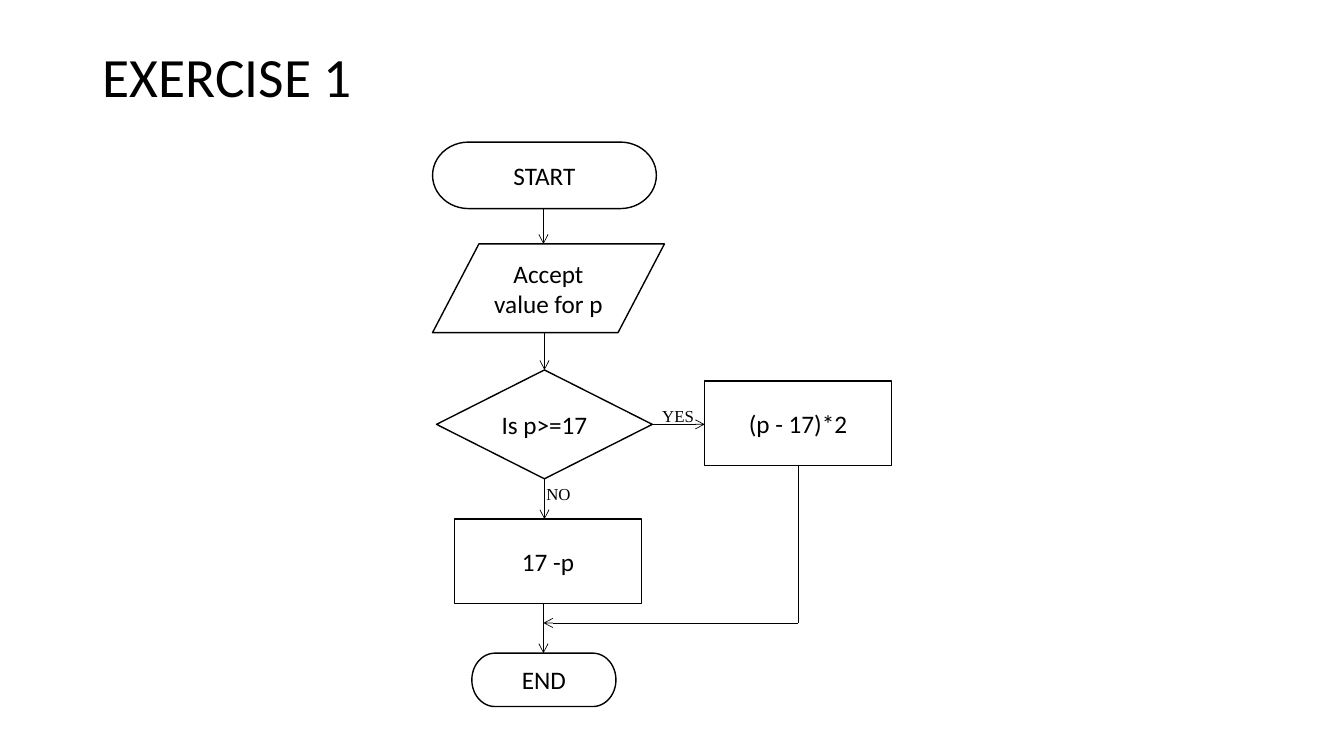
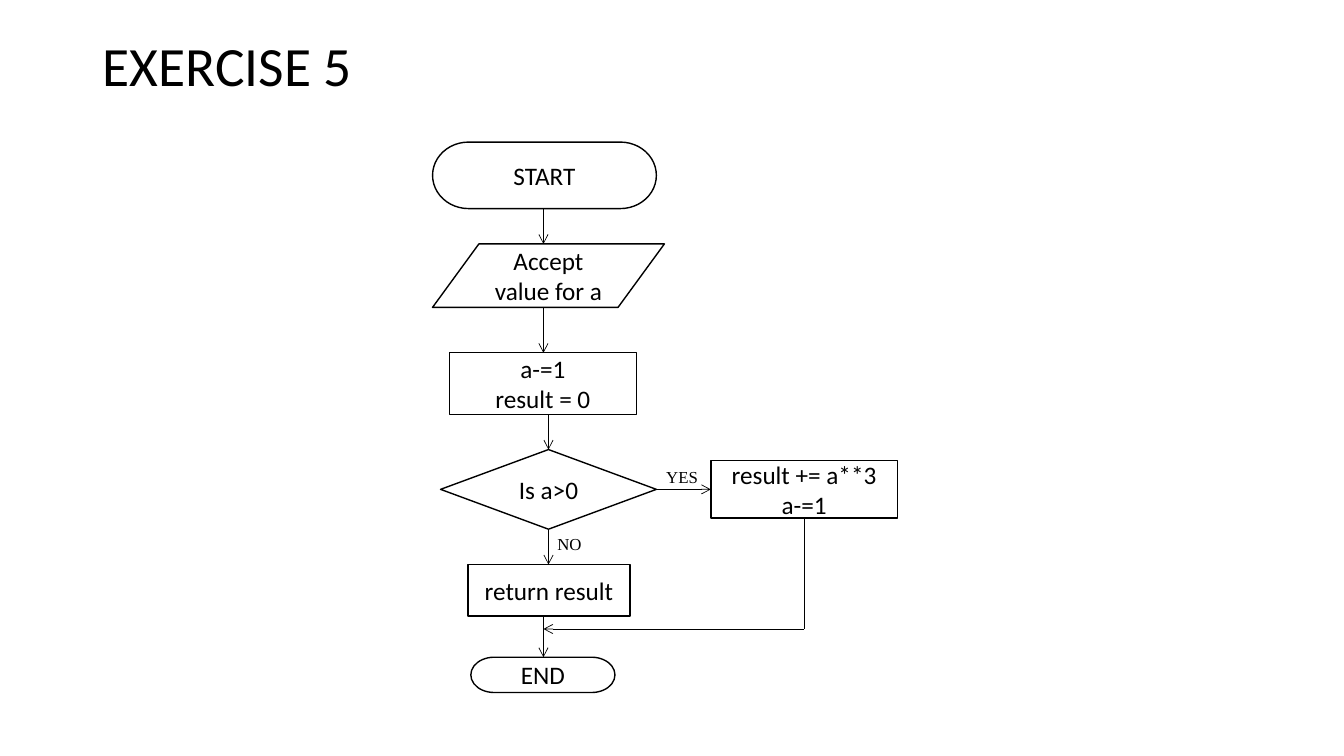
"""Build two flowchart exercise slides."""
from pptx import Presentation
from pptx.dml.color import RGBColor
from pptx.enum.shapes import MSO_CONNECTOR, MSO_SHAPE as SH
from pptx.enum.text import MSO_ANCHOR, MSO_AUTO_SIZE, PP_ALIGN
from pptx.oxml.ns import qn
from pptx.util import Inches, Pt
from lxml.etree import SubElement

COLORS = {"ink": "000000"}
FONT, LABEL_FONT = "Calibri", "Times New Roman"
SPINE = 5.39
TERM, DATA = SH.FLOWCHART_TERMINATOR, SH.FLOWCHART_DATA
DECISION, PROCESS = SH.FLOWCHART_DECISION, SH.FLOWCHART_PROCESS

CHARTS = [
    {"title": "EXERCISE 1", "title_box": (0.92, 0.42, 11.5, 0.73),
     "steps": [
         (TERM, (4.29, 1.41, 2.22, 0.66), "START"),
         (DATA, (4.29, 2.42, 2.3, 0.88), "Accept value for p"),
         (DECISION, (4.33, 3.67, 2.14, 1.08), "Is p>=17"),
         (PROCESS, (4.51, 5.15, 1.85, 0.84), "17 -p"),
         (TERM, (4.68, 6.48, 1.43, 0.53), "END")],
     "branch": (PROCESS, (6.99, 3.78, 1.85, 0.84), "(p - 17)*2"),
     "labels": [("NO", (5.32, 4.75, 0.7, 0.3)), ("YES", (6.47, 3.98, 0.54, 0.3))],
     "merge": 6.18},
    {"title": "EXERCISE 5", "title_box": (0.92, 0.4, 11.5, 0.56),
     "steps": [
         (TERM, (4.29, 1.41, 2.22, 0.66), "START"),
         (DATA, (4.29, 2.42, 2.3, 0.63), "Accept value for a"),
         (PROCESS, (4.46, 3.5, 1.85, 0.61), "a-=1\nresult = 0"),
         (DECISION, (4.37, 4.46, 2.14, 0.79), "Is a>0"),
         (SH.RECTANGLE, (4.64, 5.6, 1.61, 0.51), "return result"),
         (TERM, (4.67, 6.52, 1.43, 0.35), "END")],
     "branch": (PROCESS, (7.05, 4.57, 1.85, 0.57), "result += a**3\na-=1"),
     "labels": [("NO", (5.43, 5.25, 0.7, 0.3)), ("YES", (6.51, 4.58, 0.54, 0.3))],
     "merge": 6.24},
]


def color(name):
    return RGBColor.from_string(COLORS[name])


def write(tf, text, size=18, font=FONT, align=PP_ALIGN.CENTER,
          anchor=MSO_ANCHOR.MIDDLE, spacing=None):
    tf.word_wrap = True
    tf.auto_size = MSO_AUTO_SIZE.NONE
    tf.vertical_anchor = anchor
    for i, line in enumerate(text.split("\n")):
        p = tf.add_paragraph() if i else tf.paragraphs[0]
        p.alignment, p.line_spacing = align, spacing
        r = p.add_run()
        r.text = line
        r.font.size, r.font.name = Pt(size), font
        r.font.color.rgb = color("ink")


def add_node(s, kind, box, text):
    sp = s.shapes.add_shape(kind, *map(Inches, box))
    sp.shadow.inherit = False
    sp.fill.background()
    sp.line.color.rgb, sp.line.width = color("ink"), Pt(1)
    write(sp.text_frame, text)


def add_line(s, start, end, arrow=True):
    c = s.shapes.add_connector(MSO_CONNECTOR.STRAIGHT, *map(Inches, start + end))
    c.line.color.rgb, c.line.width = color("ink"), Pt(0.5)
    if arrow:
        SubElement(c.line._get_or_add_ln(), qn("a:tailEnd"), type="arrow")
    SubElement(c._element.spPr, qn("a:effectLst"))


def add_chart_slide(prs, chart):
    s = prs.slides.add_slide(prs.slide_layouts[5])
    title = s.shapes.title
    title.left, title.top, title.width, title.height = map(Inches, chart["title_box"])
    write(title.text_frame, chart["title"], size=39.6, align=PP_ALIGN.LEFT, spacing=0.9)

    steps, branch = chart["steps"], chart["branch"]
    for node in steps + [branch]:
        add_node(s, *node)

    left, top, width, height = next(box for kind, box, _ in steps if kind == DECISION)
    for (kind, above, _), (next_kind, below, _) in zip(steps, steps[1:]):
        x = left + width / 2 if DECISION in (kind, next_kind) else SPINE
        add_line(s, (x, above[1] + above[3]), (x, below[1]))

    b_left, b_top, b_width, b_height = branch[1]
    mid, b_mid, merge = top + height / 2, b_left + b_width / 2, chart["merge"]
    add_line(s, (left + width, mid), (b_left, mid))
    add_line(s, (b_mid, b_top + b_height), (b_mid, merge), arrow=False)
    add_line(s, (b_mid, merge), (SPINE, merge))

    for text, box in chart["labels"]:
        label = s.shapes.add_textbox(*map(Inches, box))
        write(label.text_frame, text, size=12, font=LABEL_FONT,
              align=PP_ALIGN.LEFT, anchor=MSO_ANCHOR.TOP)


prs = Presentation()
prs.slide_width, prs.slide_height = Inches(13.33), Inches(7.5)
for chart in CHARTS:
    add_chart_slide(prs, chart)
prs.save("out.pptx")
